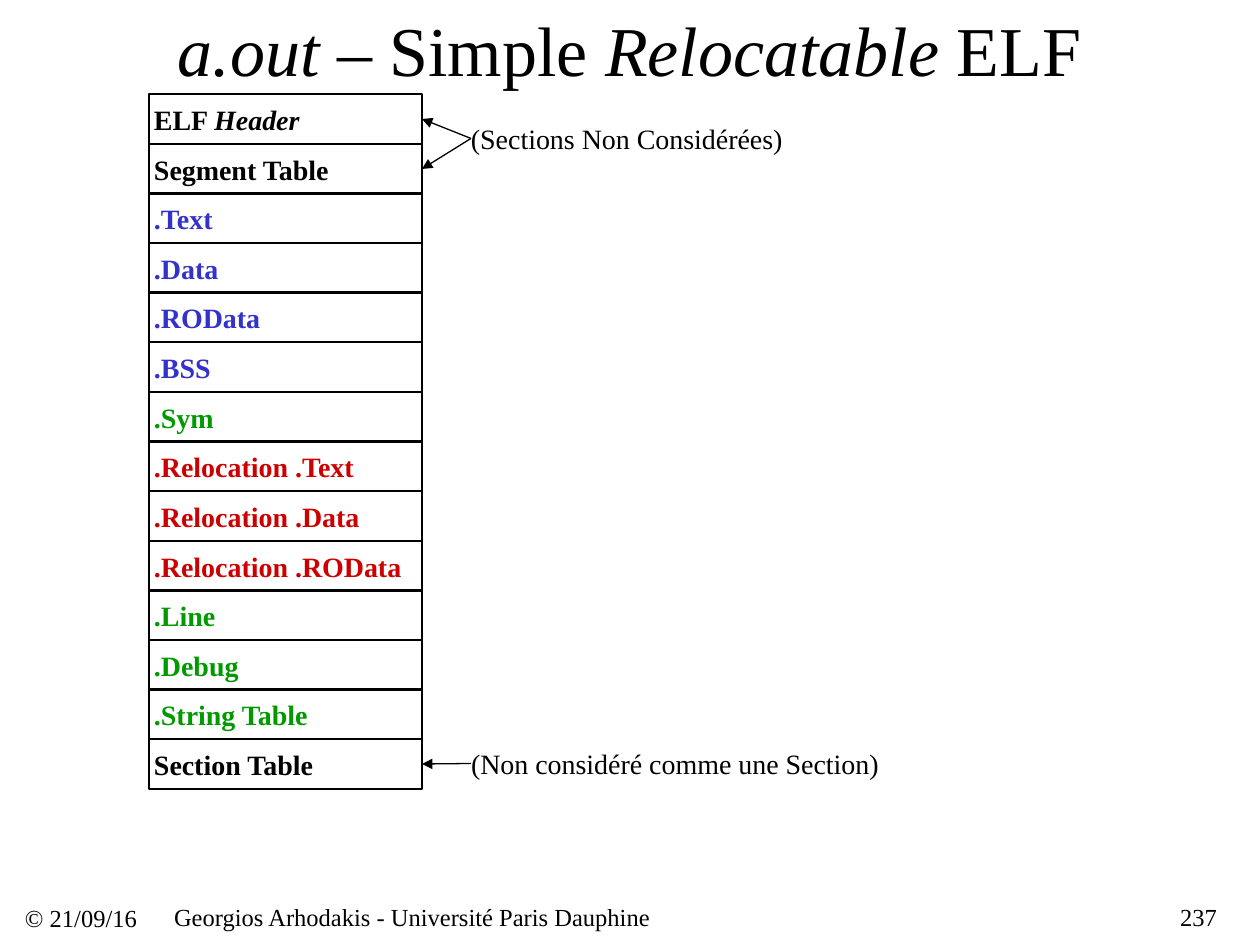
from lxml import etree
from pptx import Presentation
from pptx import util as u
from pptx.dml.color import RGBColor
from pptx.enum import shapes, text
from pptx.oxml.ns import qn

COLORS = {
    "ink": "000000",
    "content": "3333CC",
    "info": "009900",
    "relocation": "CC0000",
}


class SlideBuilder:
    """Holds the style and the current slide; lengths are in px, 126 to the inch."""

    font = "Times New Roman"
    line_width = u.Pt(0.75)

    def __init__(self, slide):
        self.slide = slide

    def px(self, *lengths):
        return [u.Emu(round(n * 914400 / 126)) for n in lengths]

    def color(self, name):
        return RGBColor.from_string(COLORS[name])

    def fill_text(self, frame, runs, size, color="ink", bold=False,
                  align=text.PP_ALIGN.LEFT):
        """Runs are (wording, italic) pairs."""
        frame.word_wrap = True
        frame.auto_size = text.MSO_AUTO_SIZE.NONE
        frame.vertical_anchor = text.MSO_ANCHOR.MIDDLE
        paragraph = frame.paragraphs[0]
        paragraph.alignment = align
        for wording, italic in runs:
            run = paragraph.add_run()
            run.text = wording
            run.font.name = self.font
            run.font.size = u.Pt(size)
            run.font.bold = bold
            run.font.italic = italic
            run.font.color.rgb = self.color(color)

    def title(self, box, runs, size):
        title = self.slide.shapes.title
        title.left, title.top, title.width, title.height = self.px(*box)
        self.fill_text(title.text_frame, runs, size, align=text.PP_ALIGN.CENTER)

    def label(self, box, runs, size=16, **style):
        label = self.slide.shapes.add_textbox(*self.px(*box))
        frame = label.text_frame
        frame.margin_left = frame.margin_right = 0
        frame.margin_top = frame.margin_bottom = 0
        self.fill_text(frame, runs, size, **style)
        return label

    def cell(self, box):
        cell = self.slide.shapes.add_shape(
            shapes.MSO_SHAPE.RECTANGLE, *self.px(*box))
        cell.shadow.inherit = False
        cell.fill.background()
        cell.line.color.rgb = self.color("ink")
        cell.line.width = self.line_width
        return cell

    def arrow(self, note, cell):
        """Point from the left side of a note to the right side of a cell."""
        arrow = self.slide.shapes.add_connector(
            shapes.MSO_CONNECTOR.STRAIGHT, 0, 0, 0, 0)
        arrow.begin_connect(note, 1)
        arrow.end_connect(cell, 3)
        arrow.line.color.rgb = self.color("ink")
        arrow.line.width = self.line_width
        properties = arrow.element.spPr
        etree.SubElement(properties.find(qn("a:ln")), qn("a:tailEnd"), type="triangle")
        etree.SubElement(properties, qn("a:effectLst"))


def main():
    deck = Presentation()
    deck.slide_width, deck.slide_height = u.Inches(10), u.Inches(7.5)
    page = SlideBuilder(deck.slides.add_slide(deck.slide_layouts[5]))

    page.title((94, 0, 1071, 97), [
        ("a.out", True), (" – Simple ", False),
        ("Relocatable", True), (" ELF", False)], 40)

    # Footer
    page.label((25, 888, 136, 59), [("© 21/09/16", False)], 14)
    page.label((174, 902, 861, 29),
               [("Georgios Arhodakis - Université Paris Dauphine", False)], 14)
    page.label((1091, 902, 126, 29), [("237", False)], 14,
               align=text.PP_ALIGN.RIGHT)

    # File layout: one bordered cell and one label per part
    parts = [
        ("ink", [("ELF ", False), ("Header", True)]),
        ("ink", [("Segment Table", False)]),
        ("content", [(".Text", False)]),
        ("content", [(".Data", False)]),
        ("content", [(".ROData", False)]),
        ("content", [(".BSS", False)]),
        ("info", [(".Sym", False)]),
        ("relocation", [(".Relocation .Text", False)]),
        ("relocation", [(".Relocation .Data", False)]),
        ("relocation", [(".Relocation .ROData", False)]),
        ("info", [(".Line", False)]),
        ("info", [(".Debug", False)]),
        ("info", [(".String Table", False)]),
        ("ink", [("Section Table", False)]),
    ]
    first_top, last_top = 94, 739
    cells = []
    for row, (color, runs) in enumerate(parts):
        top = first_top + round(row * (last_top - first_top) / (len(parts) - 1))
        cells.append(page.cell((149, top, 273, 50)))
        page.label((154, top + 8, 258, 35), runs, color=color, bold=True)

    # Notes and the cells they point to
    header, segment_table, section_table = cells[0], cells[1], cells[-1]
    notes = [
        ("(Sections Non Considérées)", 121, 318, [header, segment_table]),
        ("(Non considéré comme une Section)", 746, 412, [section_table]),
    ]
    for wording, top, width, targets in notes:
        note = page.label((471, top, width, 35), [(wording, False)])
        for target in targets:
            page.arrow(note, target)

    deck.save("out.pptx")


if __name__ == "__main__":
    main()
